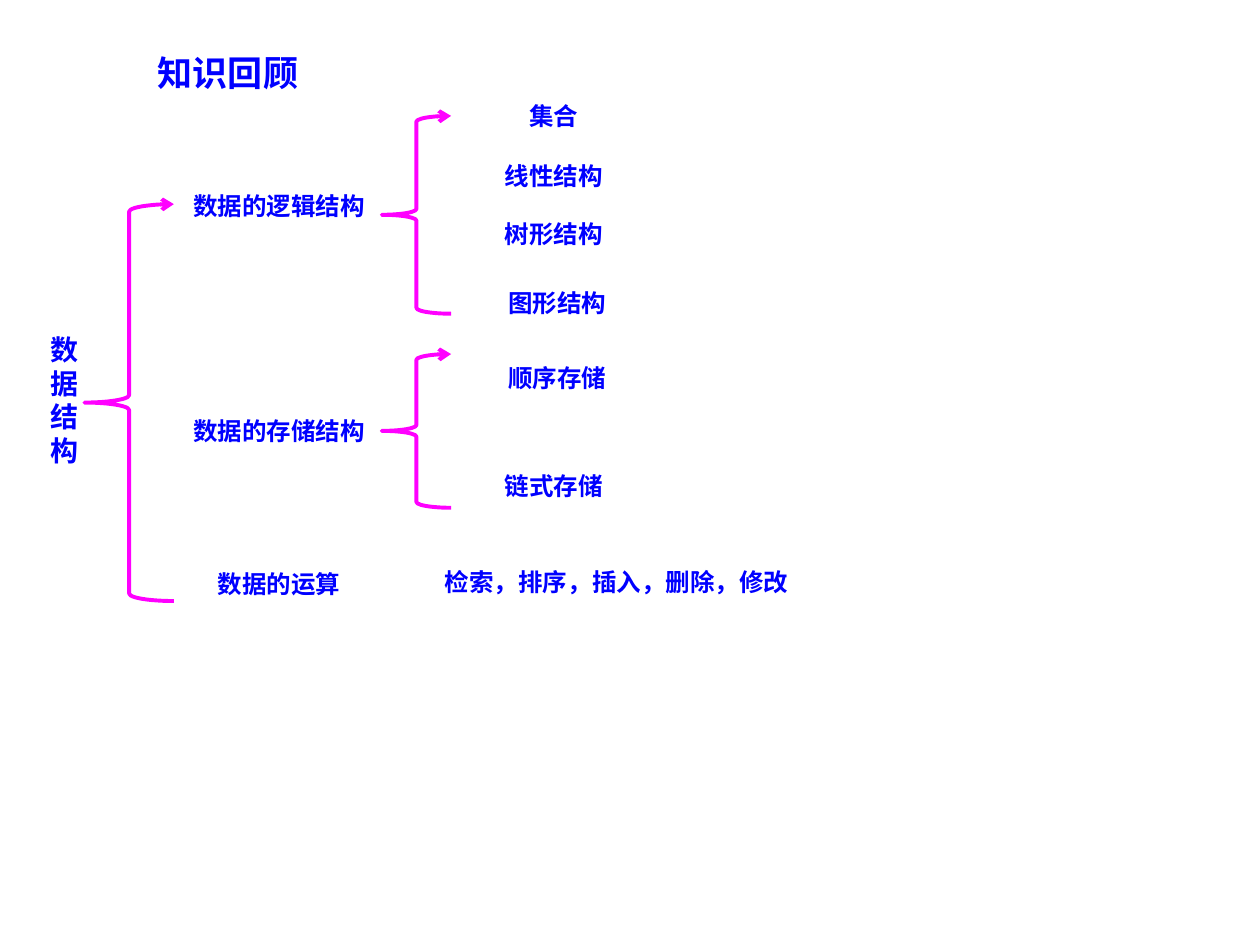
from lxml.etree import SubElement
from pptx import Presentation
from pptx.dml.color import RGBColor
from pptx.enum.shapes import MSO_SHAPE
from pptx.enum.text import MSO_ANCHOR, MSO_AUTO_SIZE, PP_ALIGN
from pptx.oxml.ns import qn
from pptx.util import Inches, Pt


def color(value):
    return RGBColor.from_string(value)


def write_label(shape, text, size):
    frame = shape.text_frame
    frame.word_wrap = True
    frame.auto_size = MSO_AUTO_SIZE.SHAPE_TO_FIT_TEXT
    frame.vertical_anchor = MSO_ANCHOR.TOP
    paragraph = frame.paragraphs[0]
    paragraph.alignment = PP_ALIGN.CENTER
    run = paragraph.add_run()
    run.text = text
    run.font.name = "Times New Roman"
    run.font.size = Pt(size)
    run.font.bold = True
    run.font.color.rgb = color("0000FF")


presentation = Presentation()
presentation.slide_width = Inches(10)
presentation.slide_height = Inches(7.5)
slide = presentation.slides.add_slide(presentation.slide_layouts[5])

title = slide.shapes.title
title.left, title.top = Inches(0.43), Inches(0.36)
title.width, title.height = Inches(2.76), Inches(0.44)
write_label(title, "知识回顾", 20)

# The root box is one character wide, so its text runs downwards.
root = slide.shapes.add_textbox(Inches(0.2), Inches(2.59), Inches(0.63), Inches(1.18))
write_label(root, "数据结构", 16)

labels = [
    ("数据的逻辑结构", 1.4, 1.47, 1.63),
    ("数据的存储结构", 1.4, 3.25, 1.63),
    ("数据的运算", 1.4, 4.47, 1.63),
    ("集合", 3.58, 0.75, 1.63),
    ("线性结构", 3.58, 1.23, 1.63),
    ("树形结构", 3.58, 1.69, 1.63),
    ("图形结构", 3.61, 2.24, 1.63),
    ("顺序存储", 3.61, 2.83, 1.63),
    ("链式存储", 3.58, 3.69, 1.63),
    ("检索，排序，插入，删除，修改", 2.82, 4.45, 4.15),
]
for text, left, top, width in labels:
    label = slide.shapes.add_textbox(Inches(left), Inches(top), Inches(width), Inches(0.34))
    write_label(label, text, 14)

braces = [
    (0.67, 1.62, 0.71, 3.15),
    (3.03, 0.92, 0.55, 1.57),
    (3.03, 2.81, 0.55, 1.22),
]
for bounds in braces:
    brace = slide.shapes.add_shape(MSO_SHAPE.LEFT_BRACE, *map(Inches, bounds))
    brace.shadow.inherit = False
    brace.fill.background()
    brace.line.color.rgb = color("FF00FF")
    brace.line.width = Pt(2.25)
    line = brace.element.spPr.find(qn("a:ln"))
    SubElement(line, qn("a:tailEnd"), type="arrow")

presentation.save("out.pptx")
